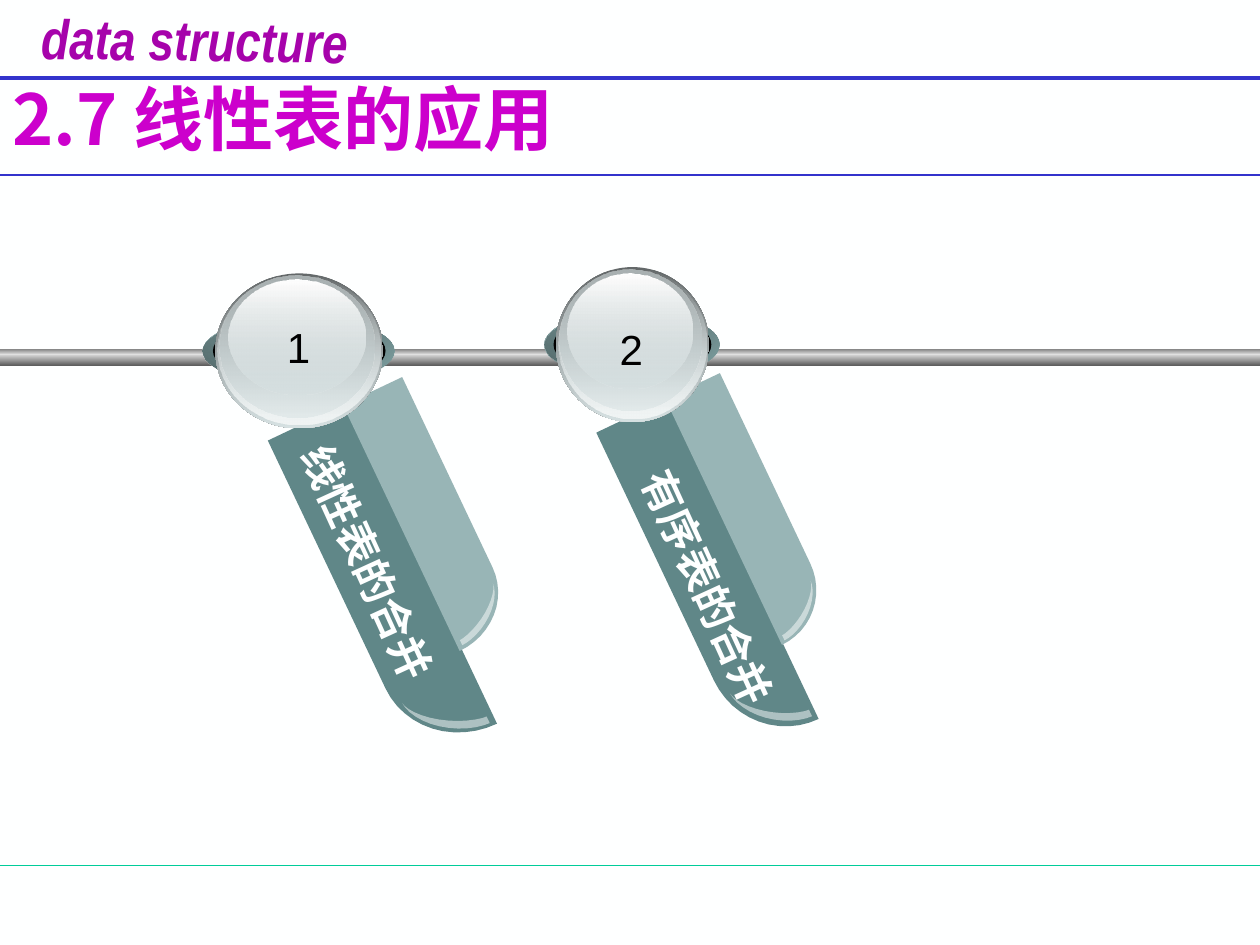
"""Build the section slide on applications of linear lists."""
import math

import lxml.etree
import pptx
import pptx.dml.color
import pptx.enum.shapes
import pptx.enum.text
import pptx.oxml.ns
import pptx.util

PX = 9144
COLORS = {
    "paper": "FEFFFF", "white": "FFFFFF", "black": "000000", "green": "00CC99",
    "blue": "3333CC", "brand": "A603AB", "title": "CC00CC", "bar": "608788",
    "strip": "98B5B6", "teal": "83A6A7", "teal_dark": "475A5A",
    "teal_shade": "53696A", "mist": "D6E1E2", "mist_light": "F1F5F5",
    "rim": "636869", "ball": "AAB2B3", "pipe_edge": "808080",
    "pipe_shine": "ECECEC", "pipe_light": "CFCFCF", "pipe_dark": "5F5F5F",
}
CJK = "Noto Sans CJK SC"
SHAPE = pptx.enum.shapes.MSO_SHAPE
ALIGN = pptx.enum.text.PP_ALIGN
qn = pptx.oxml.ns.qn


def paint(shape, stops, angle=90):
    """Fill a shape with (position, color, opacity) stops and no outline."""
    shape.shadow.inherit = False
    shape.line.fill.background()
    if len(stops) == 1:
        shape.fill.solid()
        shape.fill.fore_color.rgb = pptx.dml.color.RGBColor.from_string(COLORS[stops[0][1]])
    else:
        shape.fill.gradient()
        shape.fill.gradient_angle = 360 - angle
        stop_list = next(shape._element.iter(qn("a:gsLst")))
        for old_stop in list(stop_list):
            stop_list.remove(old_stop)
        for position, color, _ in stops:
            stop = lxml.etree.SubElement(stop_list, qn("a:gs"), pos=str(position * 1000))
            lxml.etree.SubElement(stop, qn("a:srgbClr"), val=COLORS[color])
    for node, (_, _, opacity) in zip(shape._element.spPr.iter(qn("a:srgbClr")), stops):
        if opacity < 100:
            lxml.etree.SubElement(node, qn("a:alpha"), val=str(opacity * 1000))


def write(box, text, size, font, color, bold=False, italic=False, align=ALIGN.LEFT, wrap=True):
    """Put one formatted paragraph in a box."""
    frame = box.text_frame
    frame.word_wrap = wrap
    frame.auto_size = pptx.enum.text.MSO_AUTO_SIZE.NONE
    para = frame.paragraphs[0]
    span = para.add_run()
    span.text = text
    para.alignment = align
    para.font.size = pptx.util.Pt(size)
    para.font.name = font
    para.font.bold = bold
    para.font.italic = italic
    para.font.color.rgb = pptx.dml.color.RGBColor.from_string(COLORS[color])
    if font == CJK:
        span.font.name = font
        lxml.etree.SubElement(span.font._element, qn("a:ea"), typeface=font)


deck = pptx.Presentation()
deck.slide_width, deck.slide_height = 1000 * PX, 750 * PX
page = deck.slides.add_slide(deck.slide_layouts[5])
page.background.fill.solid()
page.background.fill.fore_color.rgb = pptx.dml.color.RGBColor.from_string(COLORS["paper"])

for y, color, weight in [(687, "green", 0.75), (62, "blue", 2.25), (139, "blue", 1)]:
    rule = page.shapes.add_connector(
        pptx.enum.shapes.MSO_CONNECTOR.STRAIGHT, 0, y * PX, 1000 * PX, y * PX)
    rule.line.color.rgb = pptx.dml.color.RGBColor.from_string(COLORS[color])
    rule.line.width = pptx.util.Pt(weight)
    lxml.etree.SubElement(rule._element.spPr, qn("a:effectLst"))

brand = page.shapes.add_textbox(23 * PX, -1 * PX, 229 * PX, 54 * PX)
brand.rotation = 0.8
write(brand, "data structure", 32, "Arial Narrow", "brand", bold=True, italic=True, wrap=False)

title = page.shapes.title
title.left, title.top, title.width, title.height = 0, 56 * PX, 859 * PX, 75 * PX
title.text_frame.vertical_anchor = pptx.enum.text.MSO_ANCHOR.MIDDLE
write(title, "2.7 线性表的应用", 40, CJK, "title", bold=True)

for y, height, start, end in [(277, 5, "pipe_edge", "pipe_shine"),
                              (282, 8, "pipe_light", "pipe_dark")]:
    pipe = page.shapes.add_shape(SHAPE.RECTANGLE, 0, y * PX, 1000 * PX, height * PX)
    paint(pipe, [(0, start, 100), (100, end, 100)])

BALL_LAYERS = [
    (12, 0, 20, 53, 135, [(0, "teal", 100), (50, "white", 100), (100, "teal", 100)]),
    (12, 0, 20, 53, 135, [(0, "black", 90), (100, "teal", 32)]),
    (0, 0, 152, 53, 225, [(0, "teal", 100), (50, "teal_dark", 100), (100, "teal", 100)]),
    (0, 0, 152, 53, 135, [(0, "teal", 0), (100, "teal_shade", 100)]),
    (8, 0, 137, 53, 0, [(0, "black", 100)]),
    (10, -35, 133, 123, 90, [(0, "rim", 100), (100, "mist", 100)]),
    (12, -34, 129, 119, 90, [(0, "mist", 0), (100, "mist_light", 100)]),
    (13, -33, 123, 112, 90, [(0, "ball", 100), (100, "mist", 48)]),
    (20, -30, 109, 91, 90, [(0, "white", 100), (100, "mist", 38)]),
]
BLADES = [("bar", 100, False), ("white", 49, False), ("strip", 100, True), ("white", 49, True)]
TABS = [
    {"left": 161, "top": 252, "stretch": 1, "label": "线性表的合并",
     "label_box": (182, 421, 220, 50), "number": "1", "number_box": (208, 250, 58, 50),
     "blades": [(163, 428, 281, 68), (332, 538, 44, 56), (234, 382, 216, 52), (362, 466, 34, 43)]},
    {"left": 432, "top": 247, "stretch": 139 / 152, "label": "有序表的合并",
     "label_box": (443, 455, 250, 50), "number": "2", "number_box": (472, 252, 58, 50),
     "blades": [(421, 426, 281, 62), (590, 534, 44, 51), (488, 380, 216, 48), (616, 465, 34, 39)]},
]
ANGLES = [math.radians(step * 7.5) for step in range(13)]

for tab in TABS:
    group = page.shapes.add_group_shape()
    for (color, opacity, flipped), (x, y, width, height) in zip(BLADES, tab["blades"]):
        if color == "white":
            outer = [(math.cos(a) ** 1.18, math.sin(a) ** 1.18) for a in ANGLES]
            inner = [(0.87 * math.cos(a) ** 1.33, math.sin(a) ** 1.33) for a in ANGLES]
            outline = outer + inner[::-1]
        else:
            outline = [(0.775 + 0.225 * math.cos(a), math.sin(a)) for a in ANGLES]
            outline += [(0, 1), (0, 0)]
        points = [((x + u * width) * PX, (y + (1 - v if flipped else v) * height) * PX)
                  for u, v in outline]
        builder = group.shapes.build_freeform(*points[0])
        builder.add_line_segments(points[1:])
        blade = builder.convert_to_shape()
        blade.rotation = 64.6
        paint(blade, [(0, color, opacity)])

    for x, y, width, height, angle, stops in BALL_LAYERS:
        layer = group.shapes.add_shape(
            SHAPE.OVAL, round((tab["left"] + x * tab["stretch"]) * PX), (tab["top"] + y) * PX,
            round(width * tab["stretch"] * PX), height * PX)
        paint(layer, stops, angle)

    label = group.shapes.add_textbox(*[side * PX for side in tab["label_box"]])
    label.rotation = 65.4
    write(label, tab["label"], 24, CJK, "paper", bold=True)

for tab in TABS:
    number = page.shapes.add_textbox(*[side * PX for side in tab["number_box"]])
    write(number, tab["number"], 24, "Arial", "black", align=ALIGN.CENTER)

deck.save("out.pptx")
